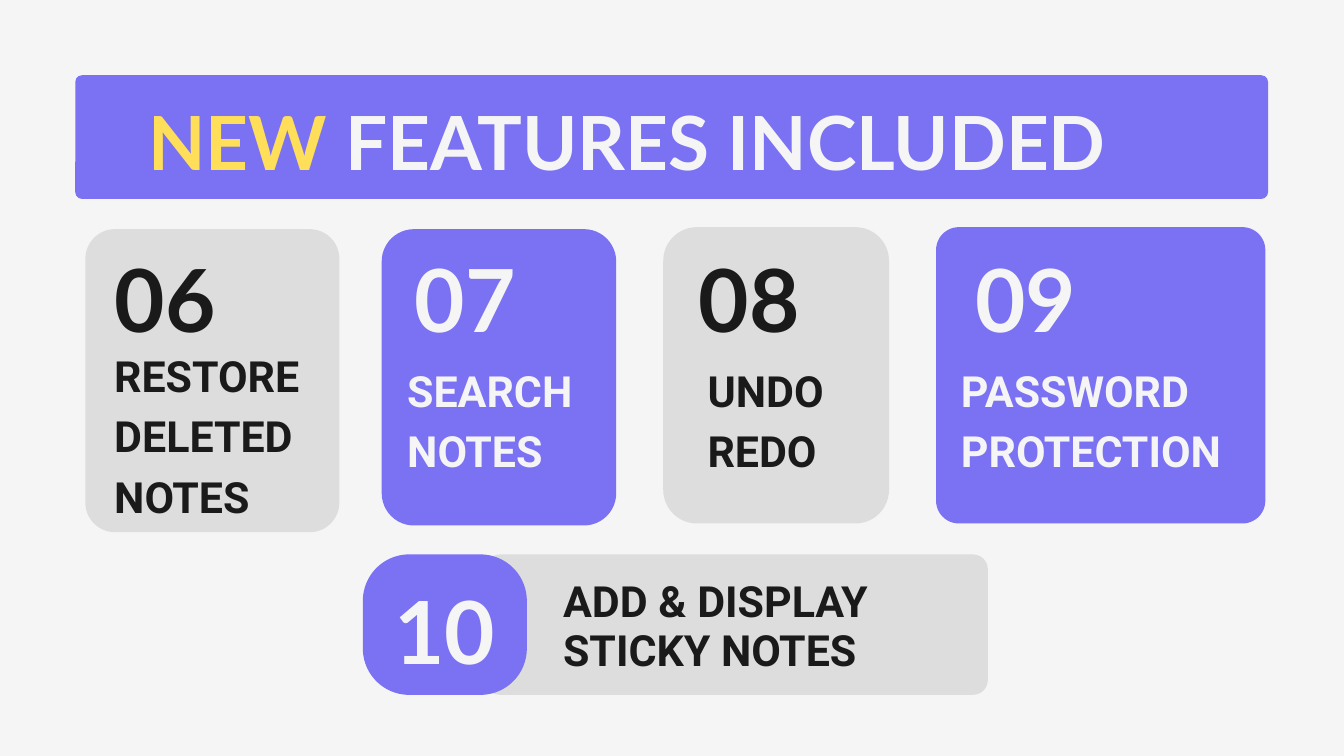
import pptx
import pptx.dml.color
import pptx.enum.shapes
import pptx.enum.text
import pptx.util
from pptx.util import Inches

RGBColor = pptx.dml.color.RGBColor
BACKGROUND = RGBColor(0xF5, 0xF5, 0xF5)
PURPLE = RGBColor(0x7B, 0x71, 0xF3)
GREY = RGBColor(0xDD, 0xDD, 0xDD)
DARK = RGBColor(0x1A, 0x1A, 0x1A)
LIGHT = RGBColor(0xF5, 0xF5, 0xF5)
YELLOW = RGBColor(0xFF, 0xDE, 0x59)

LEFT = pptx.enum.text.PP_ALIGN.LEFT
CENTER = pptx.enum.text.PP_ALIGN.CENTER

presentation = pptx.Presentation()
presentation.slide_width = Inches(20)
presentation.slide_height = Inches(11.25)
slide = presentation.slides.add_slide(presentation.slide_layouts[6])
slide.background.fill.solid()
slide.background.fill.fore_color.rgb = BACKGROUND


def add_panel(left, top, width, height, radius, color):
    """Add a rounded rectangle whose corner radius is given in inches."""
    shape = slide.shapes.add_shape(
        pptx.enum.shapes.MSO_SHAPE.ROUNDED_RECTANGLE,
        Inches(left), Inches(top), Inches(width), Inches(height))
    shape.adjustments[0] = radius / min(width, height)
    shape.shadow.inherit = False
    shape.fill.solid()
    shape.fill.fore_color.rgb = color
    shape.line.fill.background()


def add_text(left, top, width, height, paragraphs, font, size, spacing, alignment=LEFT):
    """Add a text box; each paragraph is a list of (text, color) runs."""
    box = slide.shapes.add_textbox(Inches(left), Inches(top), Inches(width), Inches(height))
    frame = box.text_frame
    frame.word_wrap = True
    frame.margin_left = frame.margin_top = frame.margin_right = frame.margin_bottom = 0
    for index, runs in enumerate(paragraphs):
        paragraph = frame.paragraphs[0] if index == 0 else frame.add_paragraph()
        paragraph.alignment = alignment
        paragraph.line_spacing = pptx.util.Pt(spacing)
        for text, color in runs:
            run = paragraph.add_run()
            run.text = text
            run.font.name = font
            run.font.size = pptx.util.Pt(size)
            run.font.bold = True
            run.font.color.rgb = color


# Title banner
add_panel(1.12, 1.12, 17.75, 1.84, 0.1, PURPLE)
add_text(2.21, 1.21, 15.68, 1.51,
         [[("NEW", YELLOW), (" FEATURES INCLUDED", LIGHT)]], "Lato", 80, 112)

# Feature cards: panel (left, top, width, height, radius), fill, text color,
# number, number left, label paragraphs, label (left, top, width, height)
cards = [
    ((1.27, 3.41, 3.78, 4.51, 0.44), GREY, DARK,
     "06", 1.71, ["RESTORE DELETED NOTES"], (1.7, 5.08, 3.28, 2.62)),
    ((5.68, 3.41, 3.49, 4.41, 0.48), PURPLE, LIGHT,
     "07", 6.17, ["SEARCH NOTES"], (6.06, 5.3, 2.73, 1.74)),
    ((9.87, 3.38, 3.36, 4.41, 0.5), GREY, DARK,
     "08", 10.4, ["UNDO", "REDO"], (10.53, 5.3, 2.03, 1.74)),
    ((13.93, 3.38, 4.9, 4.41, 0.34), PURPLE, LIGHT,
     "09", 14.51, ["PASSWORD PROTECTION"], (14.3, 5.3, 4.53, 1.74)),
]
for panel, fill, color, number, number_left, labels, label_area in cards:
    add_panel(*panel, fill)
    add_text(*label_area, [[(label, color)] for label in labels], "Roboto", 46, 64.4)
    add_text(number_left, 3.52, 1.87, 1.65, [[(number, color)]], "Lato", 93.2, 121.2)

# Bottom feature bar with its number badge
add_panel(7.22, 8.25, 7.48, 2.09, 0.22, GREY)
add_panel(5.4, 8.25, 2.44, 2.09, 0.69, PURPLE)
add_text(5.6, 8.33, 2.04, 1.76, [[("10", LIGHT)]], "Lato", 93.2, 130.5, CENTER)
add_text(8.38, 8.58, 5.16, 1.46, [[("ADD & DISPLAY STICKY NOTES", DARK)]], "Roboto", 46, 52.9)

presentation.save("out.pptx")
